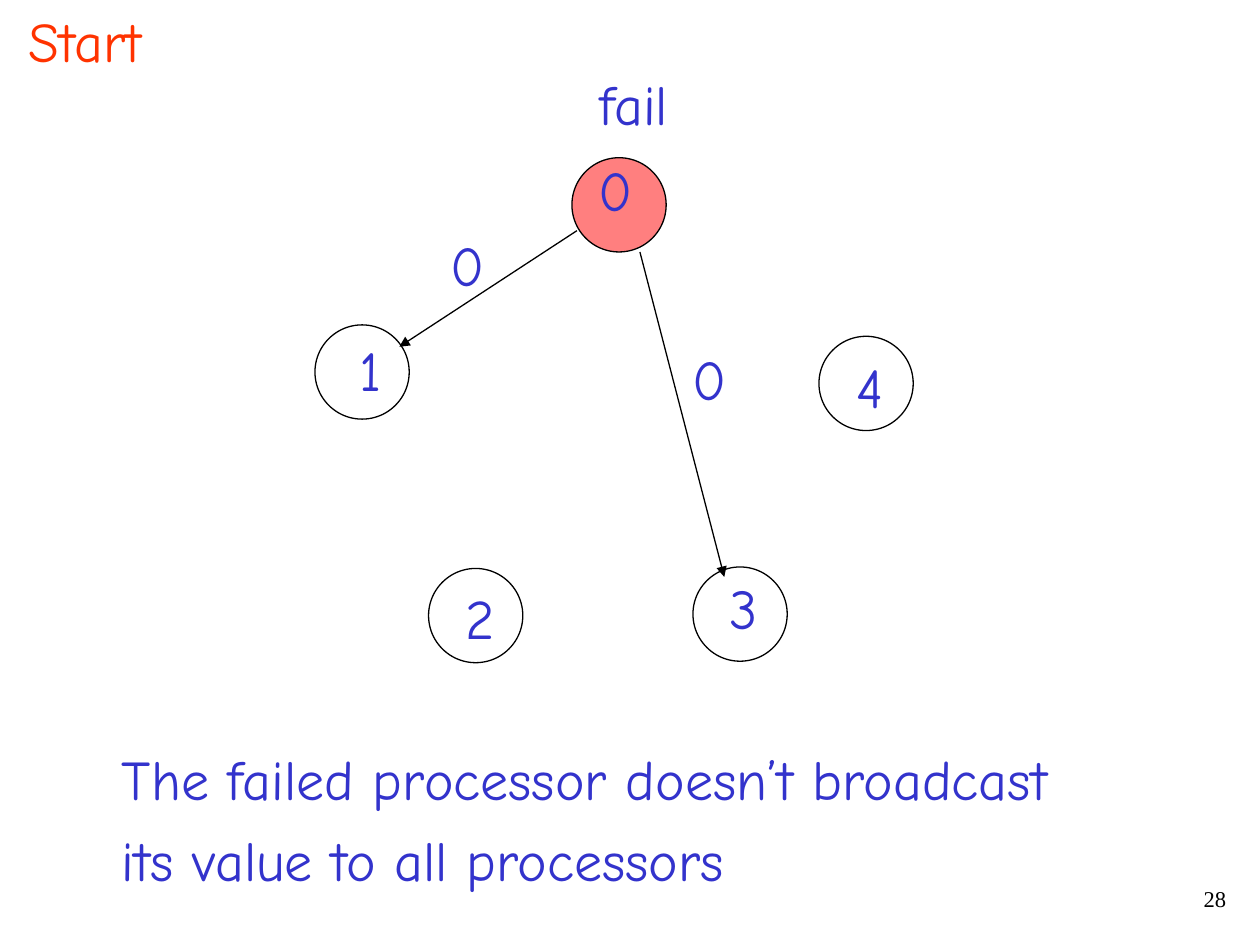
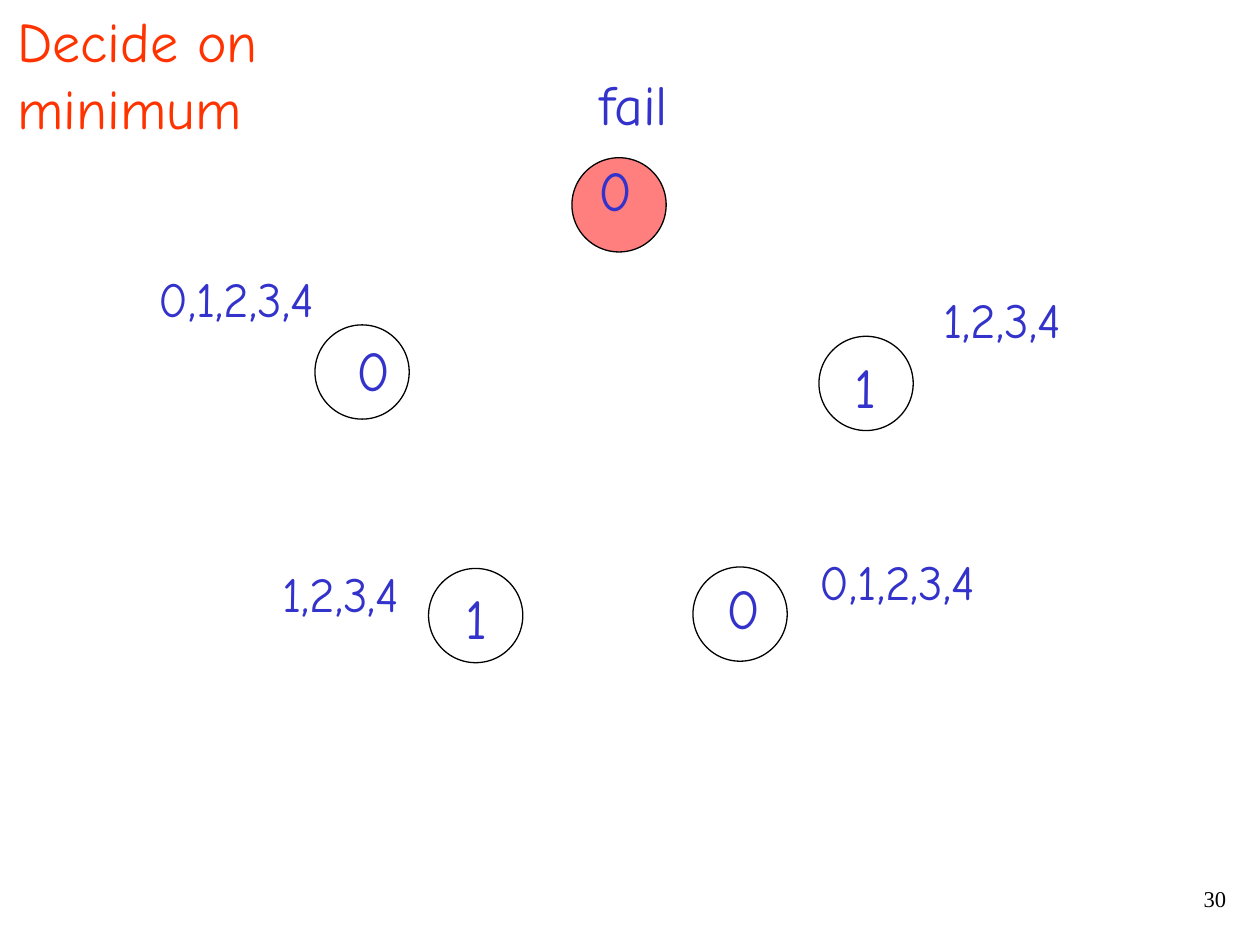
from lxml.etree import SubElement
from pptx import Presentation
from pptx.dml.color import RGBColor
from pptx.enum.shapes import MSO_CONNECTOR, MSO_SHAPE
from pptx.enum.text import MSO_ANCHOR, MSO_AUTO_SIZE, PP_ALIGN
from pptx.oxml.ns import qn
from pptx.util import Cm, Pt

TITLE_RED = RGBColor(0xFF, 0x33, 0x00)
TEXT_BLUE = RGBColor(0x33, 0x33, 0xCC)
FAIL_RED = RGBColor(0xFF, 0x00, 0x00)
BLACK = RGBColor(0x00, 0x00, 0x00)

TITLE_ONLY = 5
HAND_FONT = "Comic Neue"
NUMBER_FONT = "Times New Roman"
LINE_WIDTH = Pt(0.75)
NODE_SIZE = 1.9

# Left and top of each processor's circle; the first one fails.
PROCESSORS = [(11.53, 3.18), (6.35, 6.55), (8.64, 11.46), (13.97, 11.43), (16.51, 6.78)]
VALUE_TOPS = [3.02, 6.63, 11.63, 11.43, 6.99]
DIGIT_WIDTHS = {"0": 1.19, "1": 0.94, "2": 1.09, "3": 1.07, "4": 1.04}


def write(shape, text, *, size=32, font=HAND_FONT, color=TEXT_BLUE,
          align=PP_ALIGN.LEFT, before=None, line_spacing=1.0, wrap=False):
    """Fill a shape with one paragraph per line of text."""
    frame = shape.text_frame
    frame.text = text
    frame.word_wrap = wrap
    frame.auto_size = MSO_AUTO_SIZE.NONE if wrap else MSO_AUTO_SIZE.SHAPE_TO_FIT_TEXT
    frame.vertical_anchor = MSO_ANCHOR.TOP
    for paragraph in frame.paragraphs:
        paragraph.alignment = align
        paragraph.line_spacing = line_spacing
        paragraph.space_before = Pt(size / 4 if before is None else before)
        paragraph.font.size = Pt(size)
        paragraph.font.name = font
        paragraph.font.color.rgb = color


class Deck:
    """Holds the presentation, its style and the current slide."""

    def __init__(self):
        self.presentation = Presentation()
        self.presentation.slide_width = Cm(25.4)
        self.presentation.slide_height = Cm(19.05)
        self.slide = None

    def start_slide(self, title, left, width, number):
        layout = self.presentation.slide_layouts[TITLE_ONLY]
        self.slide = self.presentation.slides.add_slide(layout)
        heading = self.slide.shapes.title
        heading.left, heading.top = Cm(left), Cm(0)
        heading.width, heading.height = Cm(width), Cm(1.63)
        write(heading, title, color=TITLE_RED)
        self.text(number, 19.69, 17.78, 5.28, 0.84, size=12.9, font=NUMBER_FONT,
                  color=BLACK, align=PP_ALIGN.RIGHT, before=0, line_spacing=0.9, wrap=True)

    def text(self, text, left, top, width, height=1.63, **style):
        box = self.slide.shapes.add_textbox(Cm(left), Cm(top), Cm(width), Cm(height))
        write(box, text, **style)

    def digit(self, digit, left, top):
        self.text(digit, left, top, DIGIT_WIDTHS[digit])

    def node(self, left, top, failed=False):
        circle = self.slide.shapes.add_shape(
            MSO_SHAPE.OVAL, Cm(left), Cm(top), Cm(NODE_SIZE), Cm(NODE_SIZE))
        circle.shadow.inherit = False
        circle.line.color.rgb = BLACK
        circle.line.width = LINE_WIDTH
        if failed:
            circle.fill.solid()
            circle.fill.fore_color.rgb = FAIL_RED
            color = circle.fill._xPr.find(qn("a:solidFill"))[0]
            SubElement(color, qn("a:alpha"), val="50000")
        else:
            circle.fill.background()

    def arrow(self, start, end):
        connector = self.slide.shapes.add_connector(
            MSO_CONNECTOR.STRAIGHT, *map(Cm, start + end))
        connector.line.color.rgb = BLACK
        connector.line.width = LINE_WIDTH
        properties = connector._element.spPr
        SubElement(properties.find(qn("a:ln")), qn("a:tailEnd"), type="triangle")
        SubElement(properties, qn("a:effectLst"))

    def network(self, values, value_lefts):
        """Draw the five processors, each with its current value."""
        for index, position in enumerate(PROCESSORS):
            self.node(*position, failed=index == 0)
        for value, left, top in zip(values, value_lefts, VALUE_TOPS):
            self.digit(value, left, top)
        self.text("fail", 11.84, 1.27, 1.9)


def build_start(deck):
    deck.start_slide("Start", 0.33, 2.79, "28")
    deck.network("01234", [11.81, 6.99, 9.14, 14.45, 17.02])
    deck.arrow((11.63, 4.65), (8.05, 6.99))
    deck.arrow((12.9, 5.08), (14.6, 11.63))
    deck.digit("0", 8.84, 4.52)
    deck.digit("0", 13.72, 6.83)
    deck.text("The failed processor doesn’t broadcast\nits value to all processors",
              2.21, 14.88, 19.23, 3.25)


def build_decision(deck):
    deck.start_slide("Decide on minimum", 0.1, 10.24, "30")
    deck.network("00101", [11.81, 6.93, 9.14, 14.4, 16.97])
    all_values, surviving_values = ("0,1,2,3,4", 3.63), ("1,2,3,4", 2.87)
    for (received, width), left, top in [
        (all_values, 2.95, 5.28),
        (surviving_values, 5.44, 11.23),
        (all_values, 16.28, 11),
        (surviving_values, 18.77, 5.72),
    ]:
        deck.text(received, left, top, width, 1.45, size=28)


def main():
    deck = Deck()
    build_start(deck)
    build_decision(deck)
    deck.presentation.save("out.pptx")


if __name__ == "__main__":
    main()
